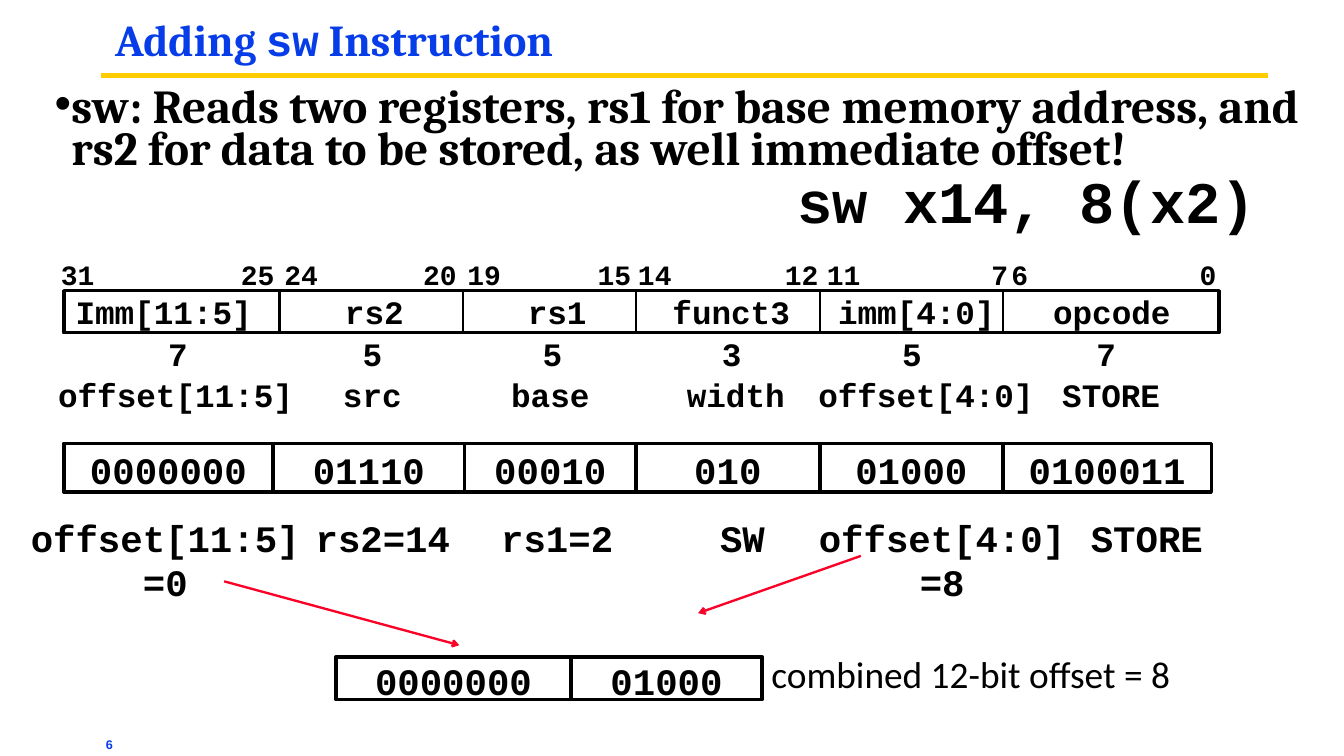
from lxml import etree
from pptx import Presentation
from pptx.dml.color import RGBColor
from pptx.enum.shapes import MSO_CONNECTOR, MSO_SHAPE
from pptx.enum.text import MSO_ANCHOR, MSO_AUTO_SIZE, PP_ALIGN
from pptx.oxml.ns import qn
from pptx.util import Cm, Pt

STRAIGHT, RECT = MSO_CONNECTOR.STRAIGHT, MSO_SHAPE.RECTANGLE
MIDDLE, CENTER = MSO_ANCHOR.MIDDLE, PP_ALIGN.CENTER
FIT = MSO_AUTO_SIZE.SHAPE_TO_FIT_TEXT
BLACK = RGBColor(0x00, 0x00, 0x00)
WHITE = RGBColor(0xFF, 0xFF, 0xFF)
BLUE = RGBColor(0x06, 0x3D, 0xE8)
YELLOW = RGBColor(0xFF, 0xCC, 0x00)
RED = RGBColor(0xFC, 0x01, 0x28)
SERIF, MONO, SANS = "Cambria", "Courier New", "Calibri"

# Lengths are in centimetres, text sizes in points.
TITLE = [("Adding ", SERIF), ("sw", MONO), (" Instruction", SERIF)]
BODY = ("sw: Reads two registers, rs1 for base memory address, and rs2 "
        "for data to be stored, as well immediate offset!")

# Rows of centred labels: top, size, [(centre x, text)]
LABEL_ROWS = [
    (4.86, 50.4, [(31.05, "sw x14, 8(x2)")]),
    (7.67, 24, [(2.35, "31"), (7.79, "25"), (9.11, "24"), (13.3, "20"),
                (14.64, "19"), (18.58, "15"), (19.8, "14"), (24.24, "12"),
                (25.51, "11"), (30.23, "7"), (30.84, "6"), (36.53, "0")]),
    (8.71, 28, [(4.95, "Imm[11:5]"), (11.32, "rs2"), (16.85, "rs1"),
                (22.11, "funct3"), (27.71, "imm[4:0]"), (33.62, "opcode")]),
    (9.98, 28, [(5.38, "7"), (11.26, "5"), (16.7, "5"),
                (22.12, "3"), (27.57, "5"), (33.45, "7")]),
    (11.2, 28, [(5.31, "offset[11:5]"), (11.26, "src"), (16.64, "base"),
                (22.25, "width"), (28, "offset[4:0]"), (33.6, "STORE")]),
    (15.44, 32, [(5, "offset[11:5]\n=0"), (11.58, "rs2=14"),
                 (16.85, "rs1=2"), (22.45, "SW"),
                 (28.49, "offset[4:0]\n=8"), (34.68, "STORE")]),
]

FIELD_EDGES = [1.93, 8.46, 14, 19.23, 24.79, 30.33, 36.86]
FIELD_TOP, FIELD_HEIGHT = 8.79, 1.27

# Rows of bit cells: top, height, cell edges, texts
BIT_ROWS = [
    (13.41, 1.47, [1.93, 8.26, 14.05, 19.23, 24.79, 30.33, 36.63],
     ["0000000", "01110", "00010", "010", "01000", "0100011"]),
    (19.86, 1.3, [10.16, 17.27, 23.04], ["0000000", "01000"]),
]
OFFSET_ARROWS = [(6.78, 17.58, 13.89, 19.51), (26.03, 16.81, 21.11, 18.54)]

prs = Presentation()
prs.slide_width, prs.slide_height = Cm(40.64), Cm(22.86)
shapes = prs.slides.add_slide(prs.slide_layouts[6]).shapes


def add_run(p, text, font, size, color=BLACK, bold=True):
    r = p.add_run()
    r.text = text
    r.font.name, r.font.size, r.font.bold = font, Pt(size), bold
    r.font.color.rgb = color


def add_block(x, y, w, h):
    """Add a wrapping text box with thin margins; return its paragraph."""
    tf = shapes.add_textbox(Cm(x), Cm(y), Cm(w), Cm(h)).text_frame
    tf.word_wrap = True
    tf.margin_left = tf.margin_right = Cm(0.08)
    tf.margin_top = tf.margin_bottom = Cm(0.08)
    return tf.paragraphs[0]


def add_label(center, top, width, text, font, size, bold=True):
    """Add an unwrapped label centred on a given x."""
    lines = text.split("\n")
    height = len(lines) * size * 1.133 / 72 * 2.54 + 0.25
    tf = shapes.add_textbox(Cm(center - width / 2), Cm(top),
                            Cm(width), Cm(height)).text_frame
    tf.word_wrap = False
    tf.auto_size = FIT
    for i, line in enumerate(lines):
        p = tf.add_paragraph() if i else tf.paragraphs[0]
        p.alignment = CENTER
        add_run(p, line, font, size, bold=bold)


def add_mono_label(center, top, text, size):
    """Size a label from its longest line, with slack so it never wraps."""
    chars = max(len(line) for line in text.split("\n"))
    width = chars * 0.6 * size / 72 * 2.54 + 0.7
    add_label(center, top, width, text, MONO, size)


def add_box(x, y, w, h):
    sp = shapes.add_shape(RECT, Cm(x), Cm(y), Cm(w), Cm(h))
    sp.shadow.inherit = False
    sp.line.color.rgb, sp.line.width = BLACK, Pt(3)
    return sp


def add_line(x1, y1, x2, y2, color, width, arrow=False):
    line = shapes.add_connector(STRAIGHT, Cm(x1), Cm(y1), Cm(x2), Cm(y2))
    line.line.color.rgb, line.line.width = color, Pt(width)
    if arrow:
        ln = line.line._get_or_add_ln()
        etree.SubElement(ln, qn("a:tailEnd"), type="arrow")
    etree.SubElement(line._element.spPr, qn("a:effectLst"))


# Slide number, rule, title and bullet
add_run(add_block(3.12, 22.2, 22.07, 0.58), "6", "Arial", 10.8, BLUE)
add_line(3.05, 2.29, 38.35, 2.29, YELLOW, 4.5)

p = add_block(3.4, 0.51, 25.7, 1.78)
p.line_spacing = 0.87
for text, font in TITLE:
    add_run(p, text, font, 37.8, BLUE)

p = add_block(1.57, 2.62, 39.07, 15.93)
p.line_spacing, p.space_before = 0.75, Pt(29.7)
pPr = p._p.get_or_add_pPr()
pPr.set("marL", str(Cm(0.51)))
pPr.set("indent", str(-Cm(0.51)))
etree.SubElement(pPr, qn("a:buFont"), typeface="Arial")
etree.SubElement(pPr, qn("a:buChar"), char="•")
add_run(p, BODY, SERIF, 40.5)

# Encoded bits and the combined offset
for top, height, edges, texts in BIT_ROWS:
    for left, right, text in zip(edges, edges[1:], texts):
        cell = add_box(left, top, right - left, height)
        cell.fill.solid()
        cell.fill.fore_color.rgb = WHITE
        tf = cell.text_frame
        tf.vertical_anchor = MIDDLE
        tf.margin_top, tf.margin_bottom = Cm(0.13), 0
        tf.paragraphs[0].alignment = CENTER
        add_run(tf.paragraphs[0], text, MONO, 32)

for ends in OFFSET_ARROWS:
    add_line(*ends, RED, 2, arrow=True)
add_label(29.36, 19.56, 13.61, "combined 12-bit offset = 8", SANS, 32, bold=False)

# Instruction format
add_box(FIELD_EDGES[0], FIELD_TOP, FIELD_EDGES[-1] - FIELD_EDGES[0],
        FIELD_HEIGHT).fill.background()
for x in FIELD_EDGES[1:-1]:
    add_line(x, FIELD_TOP, x, FIELD_TOP + FIELD_HEIGHT, BLACK, 2.25)

for top, size, labels in LABEL_ROWS:
    for center, text in labels:
        add_mono_label(center, top, text, size)

prs.save("out.pptx")
